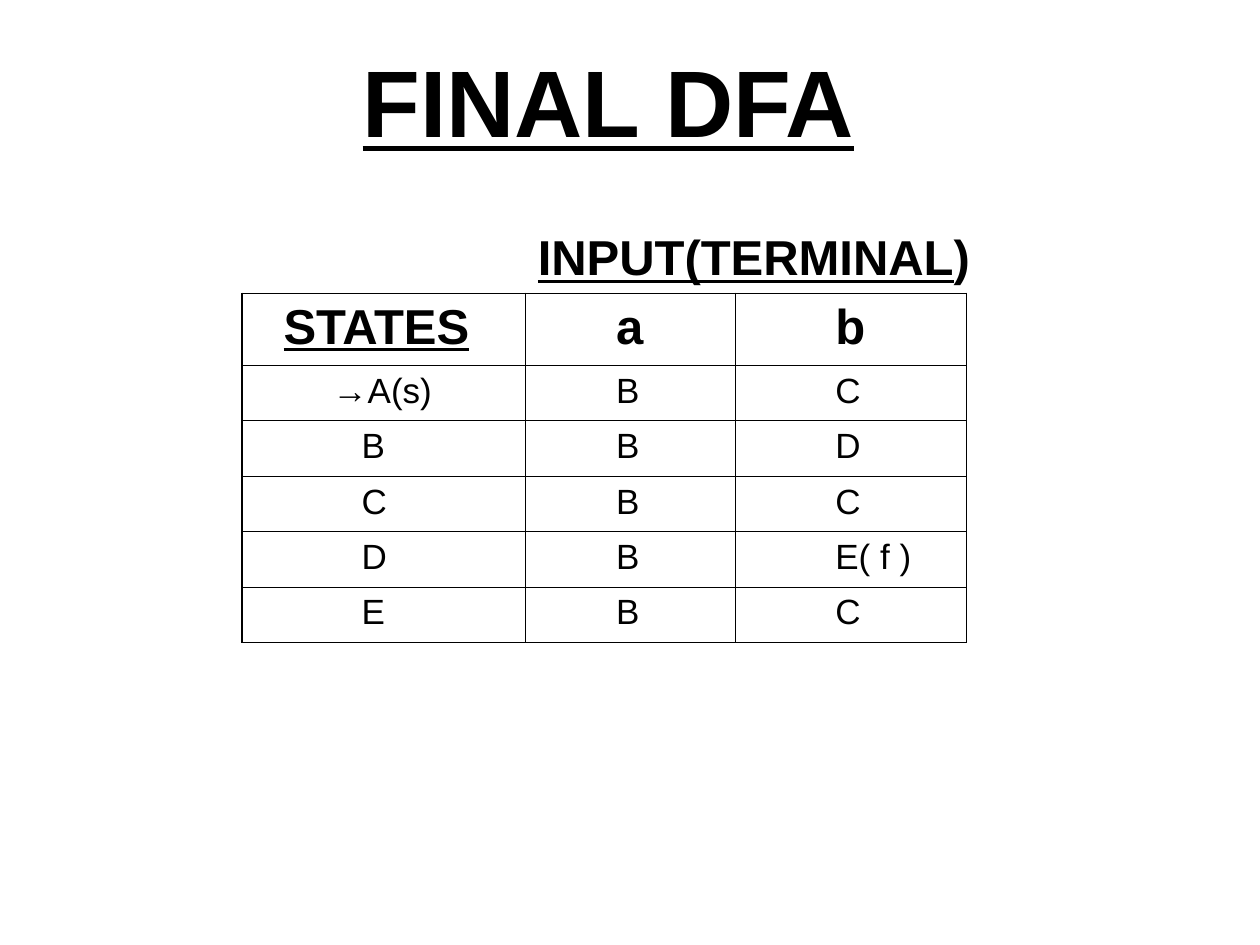
import pptx
import pptx.dml.color
import pptx.enum.text
import pptx.oxml
import pptx.oxml.ns
import pptx.util
from pptx.util import Inches

BLACK = pptx.dml.color.RGBColor(0x00, 0x00, 0x00)
FONT = "Arial"
THIN, THICK = 0.45, 1.08

COLUMN_WIDTHS = [2.25, 1.67, 1.83]
HEADER_HEIGHT, STATE_HEIGHT = 0.57, 0.44
CELL_MARGIN = 0.1
HEADER_INDENTS = [0.23, 0.62, 0.69]
STATE_INDENTS = [0.85, 0.62, 0.69]
START_INDENT = 0.62

HEADERS = ["STATES", "a", "b"]
TRANSITIONS = [
    ["→A(s)", "B", "C"],
    ["B", "B", "D"],
    ["C", "B", "C"],
    ["D", "B", "E( f )"],
    ["E", "B", "C"],
]


def add_text(paragraph, text, size, bold=False, underline=False):
    run = paragraph.add_run()
    run.text = text
    run.font.name = FONT
    run.font.size = pptx.util.Pt(size)
    run.font.bold = bold
    run.font.underline = underline
    run.font.color.rgb = BLACK


def set_borders(cell, **widths):
    """Draw the cell's sides; widths in points are keyed L, R, T, B in that order."""
    properties = cell._tc.get_or_add_tcPr()
    for side, width in widths.items():
        properties.append(pptx.oxml.parse_xml(
            f'<a:ln{side} {pptx.oxml.ns.nsdecls("a")} w="{pptx.util.Pt(width)}">'
            f'<a:solidFill><a:srgbClr val="{BLACK}"/></a:solidFill></a:ln{side}>'))


def add_title(slide):
    title = slide.shapes.title
    title.left, title.top = Inches(0.33), Inches(0.17)
    title.width, title.height = Inches(9), Inches(1.25)
    title.text_frame.vertical_anchor = pptx.enum.text.MSO_ANCHOR.MIDDLE
    heading = title.text_frame.paragraphs[0]
    heading.alignment = pptx.enum.text.PP_ALIGN.CENTER
    add_text(heading, "FINAL DFA", 54, bold=True, underline=True)


def add_input_label(slide):
    label = slide.shapes.add_textbox(
        Inches(4.17), Inches(1.75), Inches(3.74), Inches(0.57))
    frame = label.text_frame
    frame.word_wrap = False
    frame.auto_size = pptx.enum.text.MSO_AUTO_SIZE.SHAPE_TO_FIT_TEXT
    frame.vertical_anchor = pptx.enum.text.MSO_ANCHOR.MIDDLE
    add_text(frame.paragraphs[0], "INPUT(TERMINAL", 28, bold=True, underline=True)
    add_text(frame.paragraphs[0], ")", 28, bold=True)


def fill_cell(cell, text, indent, space_before, **text_format):
    cell.fill.background()
    cell.margin_left = Inches(CELL_MARGIN + indent)
    paragraph = cell.text_frame.paragraphs[0]
    paragraph.space_before = pptx.util.Pt(space_before)
    add_text(paragraph, text, **text_format)


def add_transition_table(slide):
    rows = [HEADERS] + TRANSITIONS
    heights = [HEADER_HEIGHT] + [STATE_HEIGHT] * len(TRANSITIONS)
    table = slide.shapes.add_table(
        len(rows), len(HEADERS), Inches(1.92), Inches(2.33),
        Inches(sum(COLUMN_WIDTHS)), Inches(sum(heights))).table
    table.first_row = table.horz_banding = False
    for column, width in zip(table.columns, COLUMN_WIDTHS):
        column.width = Inches(width)
    for row, height in zip(table.rows, heights):
        row.height = Inches(height)

    last_row, last_column = len(rows) - 1, len(HEADERS) - 1
    for r, texts in enumerate(rows):
        for c, text in enumerate(texts):
            cell = table.cell(r, c)
            set_borders(cell,
                        L=THICK if c == 0 else THIN,
                        R=THICK if c == last_column else THIN,
                        T=THICK if r == 0 else THIN,
                        B=THICK if r == last_row else THIN)
            if r == 0:
                fill_cell(cell, text, HEADER_INDENTS[c], 7,
                          size=28, bold=True, underline=c == 0)
            else:
                is_start = text.startswith("→")
                indent = START_INDENT if is_start else STATE_INDENTS[c]
                fill_cell(cell, text, indent, 5, size=20)


def main():
    presentation = pptx.Presentation()
    presentation.slide_width, presentation.slide_height = Inches(10), Inches(7.5)
    slide = presentation.slides.add_slide(
        presentation.slide_layouts.get_by_name("Title Only"))
    add_title(slide)
    add_transition_table(slide)
    add_input_label(slide)
    presentation.save("out.pptx")


if __name__ == "__main__":
    main()
